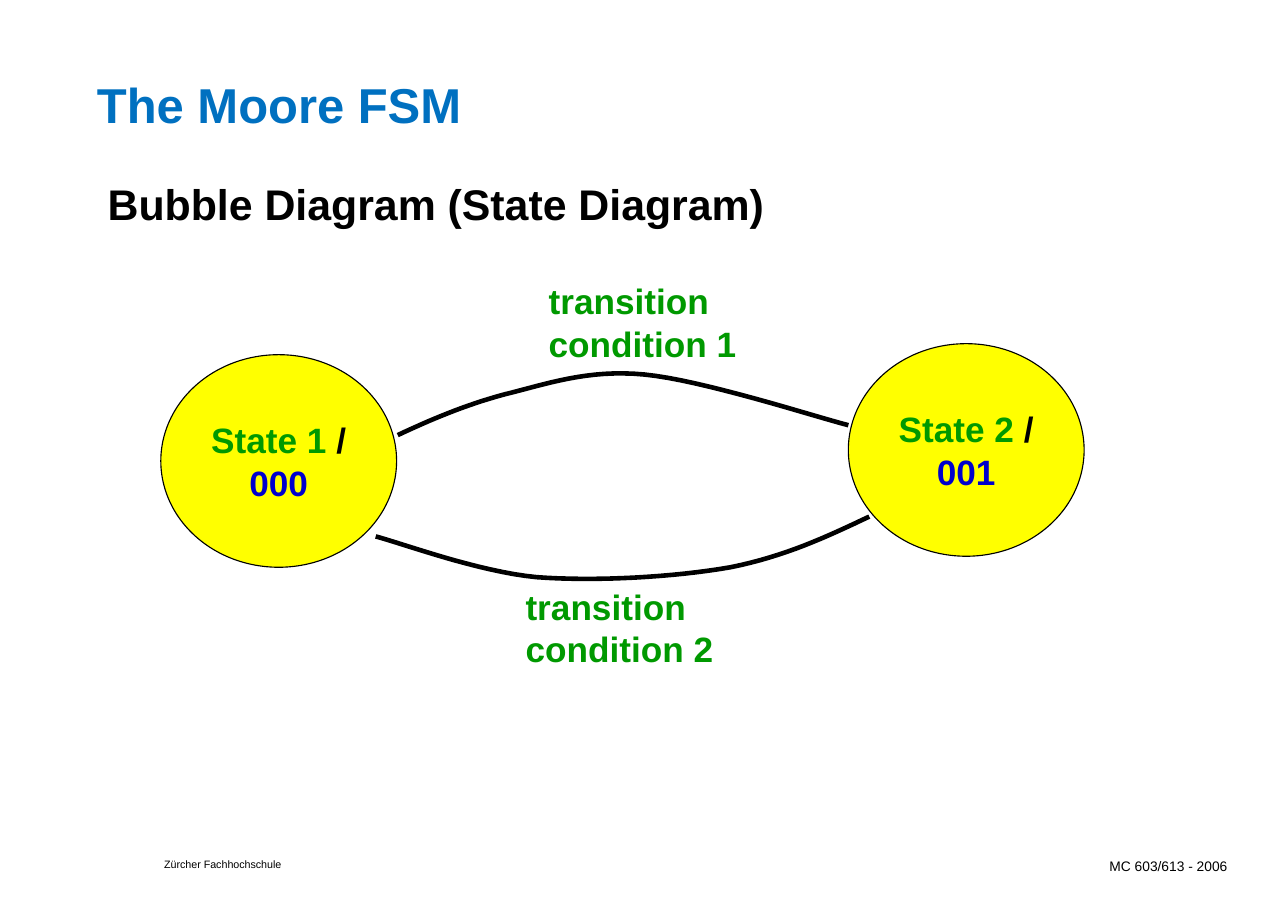
import pptx
import pptx.util
import pptx.dml.color
import pptx.enum.shapes
import pptx.enum.text
from pptx.util import Inches

HUES = {"title": "0070C0", "black": "000000", "name": "009900",
        "code": "0000CC", "fill": "FFFF00"}
ALIGN = pptx.enum.text.PP_ALIGN
ANCHOR = pptx.enum.text.MSO_ANCHOR


def hue(name):
    return pptx.dml.color.RGBColor.from_string(HUES[name])


def write(para, text, size=23, color="black", bold=True):
    run = para.add_run()
    run.text = text
    run.font.name = "Arial"
    run.font.size = pptx.util.Pt(size)
    run.font.bold = bold
    run.font.color.rgb = hue(color)


def bend(start, curves, steps=16):
    dots = [start]
    for curve in curves:
        ends = [dots[-1], *curve]
        for step in range(1, steps + 1):
            t = step / steps
            parts = ((1 - t) ** 3, 3 * t * (1 - t) ** 2, 3 * t * t * (1 - t), t ** 3)
            dots.append(tuple(sum(p * end[axis] for p, end in zip(parts, ends))
                              for axis in (0, 1)))
    return dots


class Deck:
    """Hold the style and the current slide, and draw its elements."""

    def __init__(self):
        self.prs = pptx.Presentation()
        self.prs.slide_width = Inches(11.69)
        self.prs.slide_height = Inches(8.27)
        self.slide = self.prs.slides.add_slide(self.prs.slide_layouts[5])

    def frame(self, shape, inset, anchor=ANCHOR.TOP):
        frame = shape.text_frame
        frame.word_wrap = True
        frame.auto_size = pptx.enum.text.MSO_AUTO_SIZE.NONE
        frame.vertical_anchor = anchor
        frame.margin_left = frame.margin_right = Inches(inset[0])
        frame.margin_top = frame.margin_bottom = Inches(inset[1])
        return frame

    def title(self, text, box):
        shape = self.slide.shapes.title
        shape.left, shape.top, shape.width, shape.height = map(Inches, box)
        para = self.frame(shape, (0, 0), ANCHOR.BOTTOM).paragraphs[0]
        para.alignment = ALIGN.LEFT
        write(para, text, size=32, color="title")

    def text(self, lines, box, inset=(0, 0), space=1.0, **style):
        shape = self.slide.shapes.add_textbox(*map(Inches, box))
        frame = self.frame(shape, inset)
        for index, line in enumerate(lines):
            para = frame.add_paragraph() if index else frame.paragraphs[0]
            para.line_spacing = space
            write(para, line, **style)

    def state(self, name, code, left, top):
        oval = pptx.enum.shapes.MSO_SHAPE.OVAL
        shape = self.slide.shapes.add_shape(
            oval, *map(Inches, (left, top, 2.14, 1.93)))
        shape.shadow.inherit = False
        shape.fill.solid()
        shape.fill.fore_color.rgb = hue("fill")
        shape.line.color.rgb = hue("black")
        shape.line.width = pptx.util.Pt(0.75)
        frame = self.frame(shape, (0.11, 0.06), ANCHOR.MIDDLE)
        first, second = frame.paragraphs[0], frame.add_paragraph()
        first.alignment = second.alignment = ALIGN.CENTER
        write(first, name, color="name")
        write(first, " /")
        write(second, code, color="code")

    def curve(self, start, *curves):
        dots = [(Inches(x), Inches(y)) for x, y in bend(start, curves)]
        pen = self.slide.shapes.build_freeform(*dots[0])
        pen.add_line_segments(dots[1:], close=False)
        shape = pen.convert_to_shape()
        shape.shadow.inherit = False
        shape.fill.background()
        shape.line.color.rgb = hue("black")
        shape.line.width = pptx.util.Pt(3)


def main():
    deck = Deck()
    deck.title("The Moore FSM", (0.88, 0.65, 9.94, 0.56))
    deck.text(["Bubble Diagram (State Diagram)"], (0.88, 1.5, 6.23, 0.55),
              inset=(0.1, 0.05), space=1.14, size=28)
    deck.state("State 1", "000", 1.46, 3.22)
    deck.state("State 2", "001", 7.7, 3.12)
    deck.curve((3.61, 3.95),
               ((3.91, 3.81), (4.21, 3.68), (4.58, 3.58)),
               ((4.95, 3.49), (5.33, 3.35), (5.85, 3.4)),
               ((6.37, 3.45), (7.39, 3.78), (7.7, 3.86)))
    deck.curve((7.89, 4.69),
               ((7.51, 4.87), (7.13, 5.05), (6.63, 5.15)),
               ((6.12, 5.24), (5.41, 5.28), (4.87, 5.24)),
               ((4.34, 5.19), (3.64, 4.93), (3.41, 4.87)))
    for label, left, top in (("condition 1", 4.87, 2.48), ("condition 2", 4.66, 5.25)):
        deck.text(["transition", label], (left, top, 1.95, 0.89),
                  inset=(0.11, 0.06), color="name")
    deck.text(["Zürcher Fachhochschule"], (1.49, 7.79, 1.32, 0.1), size=7, bold=False)
    deck.text(["MC 603/613 - 2006"], (10.07, 7.79, 1.33, 0.21), size=9, bold=False)
    deck.prs.save("out.pptx")


if __name__ == "__main__":
    main()
